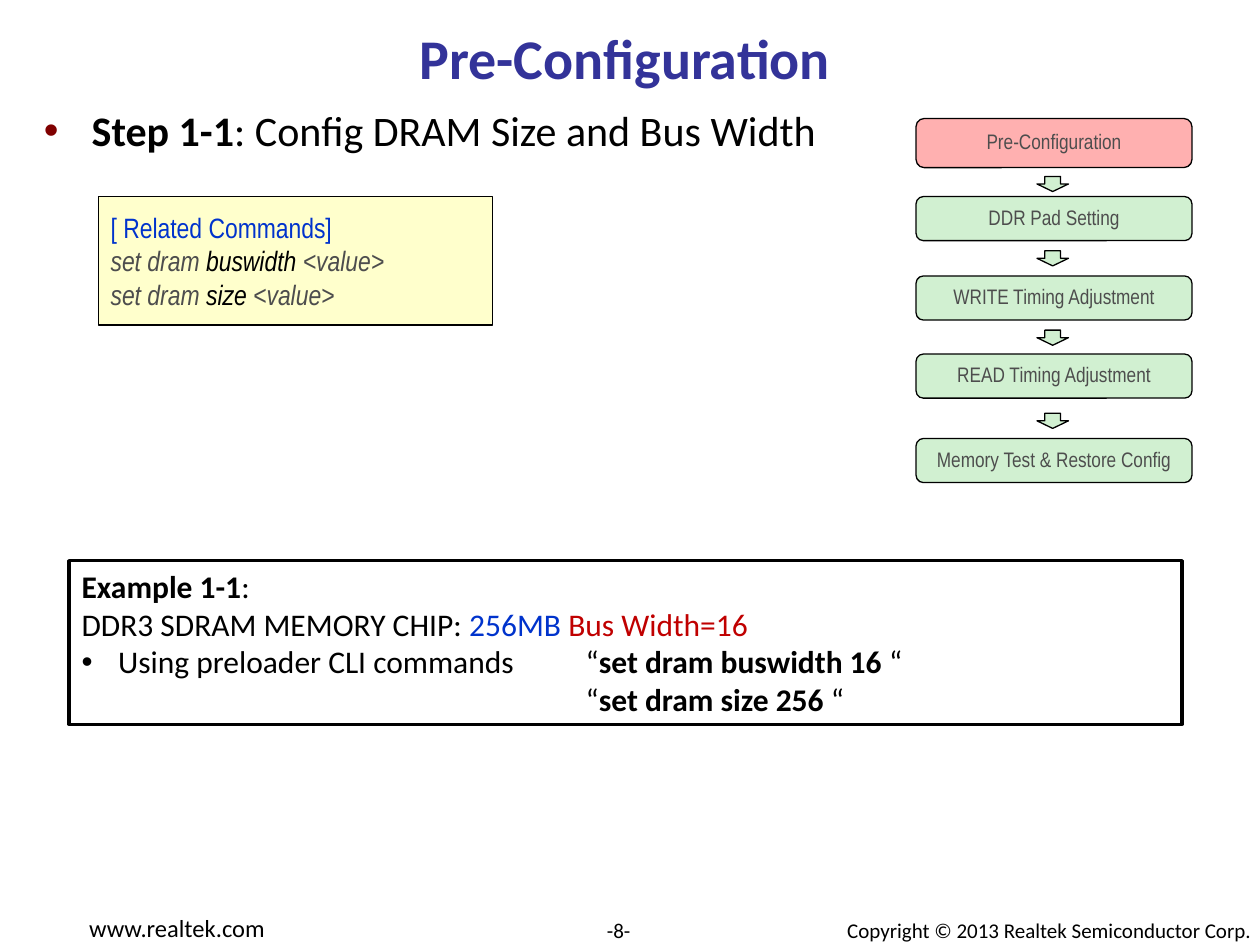
from pptx import Presentation
from pptx.dml.color import RGBColor
from pptx.enum.shapes import MSO_SHAPE
from pptx.enum.text import MSO_ANCHOR, PP_ALIGN
from pptx.util import Inches, Pt
from lxml.etree import SubElement
from pptx.oxml.ns import qn

BLACK = RGBColor(0x00, 0x00, 0x00)
NAVY = RGBColor(0x33, 0x33, 0x99)
BLUE = RGBColor(0x00, 0x33, 0xCC)
RED = RGBColor(0xC0, 0x00, 0x00)
MAROON = RGBColor(0x80, 0x00, 0x00)
GRAY = RGBColor(0x4D, 0x4D, 0x4D)
CREAM = RGBColor(0xFF, 0xFF, 0xCC)
PINK = RGBColor(0xFF, 0xB0, 0xB0)
GREEN = RGBColor(0xD1, 0xF0, 0xD1)

STEPS = [
    ("Pre-Configuration", 0.94, 0.39, PINK),
    ("DDR Pad Setting", 1.56, 0.35, GREEN),
    ("WRITE Timing Adjustment", 2.19, 0.35, GREEN),
    ("READ Timing Adjustment", 2.81, 0.35, GREEN),
    ("Memory Test & Restore Config", 3.48, 0.35, GREEN),
]
ARROWS = [1.4, 1.99, 2.62, 3.28]


def add_run(para, text, size, color=BLACK, font="Calibri", bold=False, italic=False):
    run = para.add_run()
    run.text = text
    run.font.size = Pt(size)
    run.font.name = font
    run.font.bold = bold
    run.font.italic = italic
    run.font.color.rgb = color


def set_bullet(para, color, indent):
    props = para._p.get_or_add_pPr()
    props.set("marL", str(Inches(indent)))
    props.set("indent", str(-Inches(indent)))
    tint = SubElement(props, qn("a:buClr"))
    SubElement(tint, qn("a:srgbClr")).set("val", str(color))
    SubElement(props, qn("a:buFont")).set("typeface", "Arial")
    SubElement(props, qn("a:buChar")).set("char", "•")


def set_tab(para, place):
    tabs = SubElement(para._p.get_or_add_pPr(), qn("a:tabLst"))
    tab = SubElement(tabs, qn("a:tab"))
    tab.set("pos", str(Inches(place)))
    tab.set("algn", "l")


def add_text(slide, box, anchor=MSO_ANCHOR.TOP):
    frame = slide.shapes.add_textbox(*map(Inches, box)).text_frame
    frame.word_wrap = True
    frame.vertical_anchor = anchor
    return frame


def add_box(slide, kind, box, fill=None, width=0.75):
    shape = slide.shapes.add_shape(kind, *map(Inches, box))
    shape.shadow.inherit = False
    if fill is None:
        shape.fill.background()
    else:
        shape.fill.solid()
        shape.fill.fore_color.rgb = fill
    shape.line.color.rgb = BLACK
    shape.line.width = Pt(width)
    return shape


def add_lines(frame, lines):
    paras = []
    for row, runs in enumerate(lines):
        para = frame.add_paragraph() if row else frame.paragraphs[0]
        para.alignment = PP_ALIGN.LEFT
        paras.append((para, runs))
    return paras


def add_title(slide):
    title = slide.shapes.title
    title.left, title.top = Inches(0.17), Inches(0.08)
    title.width, title.height = Inches(9.58), Inches(0.75)
    title.text_frame.vertical_anchor = MSO_ANCHOR.MIDDLE
    para = title.text_frame.paragraphs[0]
    para.alignment = PP_ALIGN.CENTER
    add_run(para, "Pre-Configuration", 32, NAVY, bold=True)


def add_body(slide):
    para = add_text(slide, (0.25, 0.78, 9.5, 6.48)).paragraphs[0]
    set_bullet(para, MAROON, 0.38)
    add_run(para, "Step 1-1", 24, bold=True)
    add_run(para, ": Config DRAM Size and Bus Width", 24)


def add_footer(slide, text, box, size, align):
    para = add_text(slide, box, MSO_ANCHOR.BOTTOM).paragraphs[0]
    para.alignment = align
    add_run(para, text, size)


def add_commands(slide):
    frame = add_box(slide, MSO_SHAPE.RECTANGLE, (0.78, 1.56, 3.13, 1.02), CREAM).text_frame
    frame.vertical_anchor = MSO_ANCHOR.MIDDLE
    lines = [[("[ Related Commands]", BLUE, False)]]
    for name in ("buswidth", "size"):
        lines.append([("set dram ", GRAY, True), (name, BLACK, True), (" <value>", GRAY, True)])
    for para, runs in add_lines(frame, lines):
        for text, color, italic in runs:
            add_run(para, text, 16, color, "Arial Narrow", italic=italic)


def add_flow(slide):
    for text, top, height, fill in STEPS:
        shape = add_box(slide, MSO_SHAPE.ROUNDED_RECTANGLE, (7.27, top, 2.19, height), fill)
        shape.text_frame.vertical_anchor = MSO_ANCHOR.MIDDLE
        para = shape.text_frame.paragraphs[0]
        para.alignment = PP_ALIGN.CENTER
        para.line_spacing = 0.9
        para.space_after = Pt(5.2)
        add_run(para, text, 12, GRAY, "Arial Narrow")
    for top in ARROWS:
        add_box(slide, MSO_SHAPE.DOWN_ARROW, (8.23, top, 0.25, 0.12), GREEN)


def add_example(slide):
    frame = add_box(slide, MSO_SHAPE.RECTANGLE, (0.55, 4.45, 8.83, 1.3), width=2).text_frame
    frame.vertical_anchor = MSO_ANCHOR.TOP
    lines = [
        [("Example 1-1", BLACK, True), (":", BLACK, False)],
        [("DDR3 SDRAM MEMORY CHIP: ", BLACK, False), ("256MB ", BLUE, False),
         ("Bus Width=16", RED, False)],
        [("Using preloader CLI commands\t“", BLACK, False),
         ("set dram buswidth 16", BLACK, True), (" “", BLACK, False)],
        [("\t“", BLACK, False), ("set dram size 256", BLACK, True), (" “", BLACK, False)],
    ]
    paras = add_lines(frame, lines)
    set_bullet(paras[2][0], BLACK, 0.29)
    for para, _ in paras[2:]:
        set_tab(para, 4)
    for para, runs in paras:
        for text, color, bold in runs:
            add_run(para, text, 18, color, bold=bold)


def main():
    deck = Presentation()
    deck.slide_width, deck.slide_height = Inches(10), Inches(7.5)
    slide = deck.slides.add_slide(deck.slide_layouts[5])
    add_title(slide)
    add_body(slide)
    add_footer(slide, "-8-", (4.45, 7.03, 0.92, 0.5), 12, PP_ALIGN.CENTER)
    add_footer(slide, "Copyright © 2013 Realtek Semiconductor Corp.",
               (5.7, 7.03, 4.33, 0.5), 12, PP_ALIGN.RIGHT)
    add_footer(slide, "www.realtek.com", (0.61, 7.03, 2.18, 0.5), 14, PP_ALIGN.LEFT)
    add_commands(slide)
    add_flow(slide)
    add_example(slide)
    deck.save("out.pptx")


if __name__ == "__main__":
    main()
